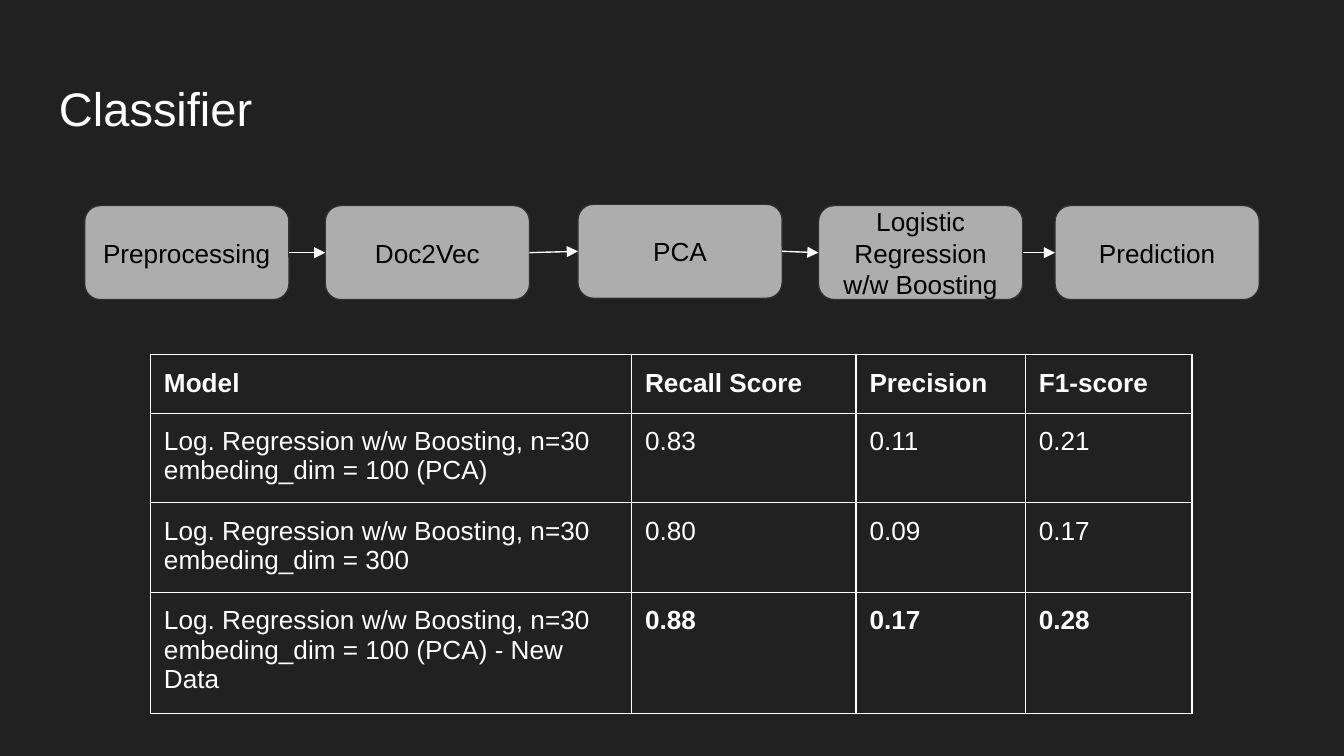
import itertools

import pptx
import pptx.dml.color
import pptx.enum.shapes
import pptx.enum.text
import pptx.oxml.ns
import pptx.util
from lxml import etree

Inches, Pt = pptx.util.Inches, pptx.util.Pt
qn = pptx.oxml.ns.qn

COLORS = {"background": "212121", "light": "FFFFFF", "box": "ADADAD",
          "box_line": "303030", "box_text": "000000"}
FONT = "Arial"
BODY_SIZE = 14
LINE_WIDTH = 0.75
INSET = 0.1

TITLE = "Classifier"

# Pipeline steps: label, left, top
STEPS = [
    ("Preprocessing", 0.63, 1.53),
    ("Doc2Vec", 2.42, 1.53),
    ("PCA", 4.3, 1.52),
    ("Logistic Regression w/w Boosting", 6.09, 1.53),
    ("Prediction", 7.85, 1.53),
]
STEP_W, STEP_H = 1.52, 0.7

MODEL = "Log. Regression w/w Boosting, n=30"
HEADER = ["Model", "Recall Score", "Precision", "F1-score"]
# Embedding used with the model, then its scores
RESULTS = [
    ("embeding_dim = 100 (PCA)", "0.83", "0.11", "0.21"),
    ("embeding_dim = 300", "0.80", "0.09", "0.17"),
    ("embeding_dim = 100 (PCA) - New Data", "0.88", "0.17", "0.28"),
]
TABLE_LEFT, TABLE_TOP = 1.12, 2.64
COL_WIDTHS = [3.58, 1.67, 1.26, 1.24]
ROW_HEIGHTS = [0.4, 0.4, 0.4, 0.61]  # minimums: rows grow with their text


def rgb(name):
    return pptx.dml.color.RGBColor.from_string(COLORS[name])


def write(tf, lines, color, size=BODY_SIZE, bold=False, align=None):
    """Put one paragraph per line into a text frame."""
    for i, line in enumerate(lines):
        p = tf.paragraphs[0] if i == 0 else tf.add_paragraph()
        p.alignment = align
        r = p.add_run()
        r.text = line
        r.font.name = FONT
        r.font.size = Pt(size)
        r.font.bold = bold
        r.font.color.rgb = rgb(color)


def set_insets(holder):
    holder.margin_left = holder.margin_right = Inches(INSET)
    holder.margin_top = holder.margin_bottom = Inches(INSET)


def add_title(s):
    box = s.shapes.add_textbox(Inches(0.34), Inches(0.49), Inches(9.32), Inches(0.63))
    tf = box.text_frame
    tf.word_wrap = True
    set_insets(tf)
    write(tf, [TITLE], "light", size=25.2)


def add_step(s, label, left, top):
    sp = s.shapes.add_shape(
        pptx.enum.shapes.MSO_SHAPE.FLOWCHART_ALTERNATE_PROCESS,
        Inches(left), Inches(top), Inches(STEP_W), Inches(STEP_H))
    sp.shadow.inherit = False
    sp.fill.solid()
    sp.fill.fore_color.rgb = rgb("box")
    sp.line.color.rgb = rgb("box_line")
    sp.line.width = Pt(LINE_WIDTH)
    tf = sp.text_frame
    tf.word_wrap = True
    tf.vertical_anchor = pptx.enum.text.MSO_ANCHOR.MIDDLE
    set_insets(tf)
    write(tf, [label], "box_text", align=pptx.enum.text.PP_ALIGN.CENTER)


def add_arrow(s, start, end):
    """Join the right side of one step to the left side of the next."""
    (_, left1, top1), (_, left2, top2) = start, end
    arrow = s.shapes.add_connector(
        pptx.enum.shapes.MSO_CONNECTOR.STRAIGHT,
        Inches(left1 + STEP_W), Inches(top1 + STEP_H / 2),
        Inches(left2), Inches(top2 + STEP_H / 2))
    arrow.line.color.rgb = rgb("light")
    arrow.line.width = Pt(LINE_WIDTH)
    spPr = arrow._element.spPr
    etree.SubElement(spPr.find(qn("a:ln")), qn("a:tailEnd"), type="triangle")
    etree.SubElement(spPr, qn("a:effectLst"))


def add_borders(cell):
    tcPr = cell._tc.get_or_add_tcPr()
    for i, side in enumerate(("a:lnL", "a:lnR", "a:lnT", "a:lnB")):
        ln = etree.Element(qn(side), w=str(int(Pt(LINE_WIDTH))))
        fill = etree.SubElement(ln, qn("a:solidFill"))
        etree.SubElement(fill, qn("a:srgbClr"), val=COLORS["light"])
        tcPr.insert(i, ln)


def add_results(s):
    rows = [[[text] for text in HEADER]]
    rows += [[[MODEL, dim]] + [[score] for score in scores] for dim, *scores in RESULTS]
    table = s.shapes.add_table(
        len(rows), len(HEADER), Inches(TABLE_LEFT), Inches(TABLE_TOP),
        Inches(sum(COL_WIDTHS)), Inches(sum(ROW_HEIGHTS))).table
    table.first_row = table.horz_banding = False
    for col, width in zip(table.columns, COL_WIDTHS):
        col.width = Inches(width)
    for row, height in zip(table.rows, ROW_HEIGHTS):
        row.height = Inches(height)
    best = len(rows) - 1
    for i, row in enumerate(rows):
        for j, lines in enumerate(row):
            cell = table.cell(i, j)
            cell.fill.background()
            set_insets(cell)
            add_borders(cell)
            write(cell.text_frame, lines, "light", bold=i == 0 or (i == best and j > 0))


def main():
    prs = pptx.Presentation()
    prs.slide_width = Inches(10)
    prs.slide_height = prs.slide_width * 9 // 16
    s = prs.slides.add_slide(prs.slide_layouts[6])
    s.background.fill.solid()
    s.background.fill.fore_color.rgb = rgb("background")
    add_title(s)
    for step in STEPS:
        add_step(s, *step)
    for start, end in itertools.pairwise(STEPS):
        add_arrow(s, start, end)
    add_results(s)
    prs.save("out.pptx")


if __name__ == "__main__":
    main()
